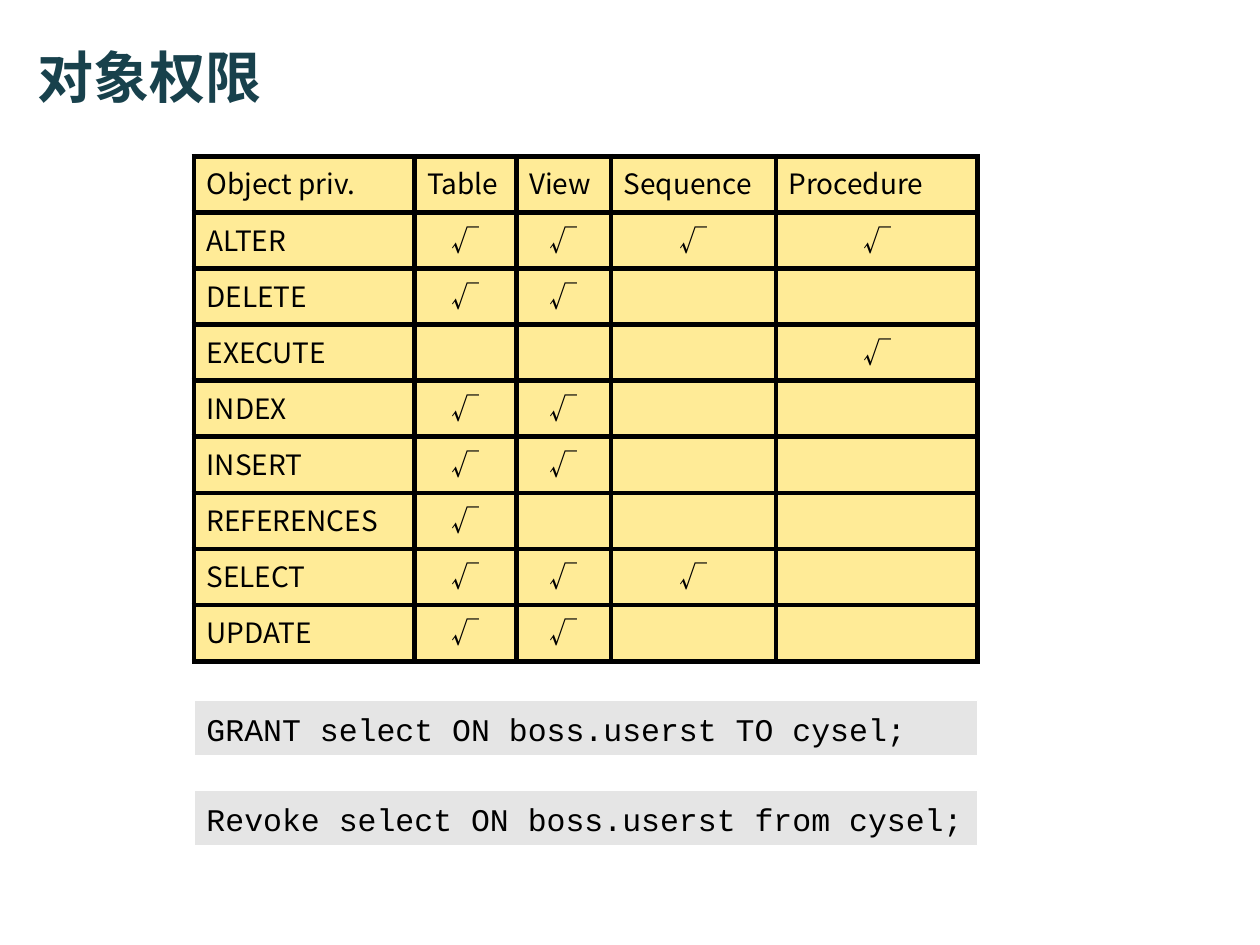
from dataclasses import dataclass

import lxml.etree
import pptx
import pptx.dml.color
import pptx.enum.shapes
import pptx.enum.text
import pptx.oxml.ns
import pptx.slide
import pptx.table
import pptx.text.text
import pptx.util

Inches = pptx.util.Inches
Align = pptx.enum.text.PP_ALIGN
Anchor = pptx.enum.text.MSO_ANCHOR
AutoSize = pptx.enum.text.MSO_AUTO_SIZE

SANS = "Noto Sans CJK SC"
MONO = "Courier New"
BLACK = "000000"
LEFT, WIDTH = 1.54, 6.22


@dataclass
class Privilege:
    name: str
    targets: tuple[str, ...]


@dataclass
class Statement:
    text: str
    top: float


TARGETS = ("Table", "View", "Sequence", "Procedure")
COLUMN_WIDTHS = (1.75, 0.81, 0.75, 1.31, 1.6)
PRIVILEGES = (
    Privilege("ALTER", TARGETS),
    Privilege("DELETE", ("Table", "View")),
    Privilege("EXECUTE", ("Procedure",)),
    Privilege("INDEX", ("Table", "View")),
    Privilege("INSERT", ("Table", "View")),
    Privilege("REFERENCES", ("Table",)),
    Privilege("SELECT", ("Table", "View", "Sequence")),
    Privilege("UPDATE", ("Table", "View")),
)
STATEMENTS = (
    Statement("GRANT select ON boss.userst TO cysel;", 5.56),
    Statement("Revoke select ON boss.userst from cysel;", 6.27),
)


def color(value: str) -> pptx.dml.color.RGBColor:
    return pptx.dml.color.RGBColor.from_string(value)


def add_element(parent, tag: str, **attributes: str):
    return lxml.etree.SubElement(parent, pptx.oxml.ns.qn(tag), attributes)


def add_run(paragraph, text: str, size: float, font: str, fill: str, bold: bool = False) -> None:
    run = paragraph.add_run()
    run.text = text
    run.font.size = pptx.util.Pt(size)
    run.font.name = font
    run.font.bold = bold
    run.font.color.rgb = color(fill)
    add_element(run.font._element, "a:ea", typeface=font)


def format_cell(cell: pptx.table._Cell) -> None:
    cell.fill.solid()
    cell.fill.fore_color.rgb = color("FFD831")
    properties = cell._tc.get_or_add_tcPr()
    add_element(properties.find(".//" + pptx.oxml.ns.qn("a:srgbClr")), "a:alpha", val="50000")
    for position, side in enumerate(("L", "R", "T", "B")):
        border = add_element(properties, f"a:ln{side}", w=str(pptx.util.Pt(3)))
        add_element(add_element(border, "a:solidFill"), "a:srgbClr", val=BLACK)
        properties.insert(position, border)


def fill_cell(cell: pptx.table._Cell, text: str, alignment: Align) -> None:
    format_cell(cell)
    if not text:
        return
    paragraph = cell.text_frame.paragraphs[0]
    paragraph.alignment = alignment
    properties = paragraph._p.get_or_add_pPr()
    properties.set("marL", str(Inches(0.38)))
    properties.set("indent", str(Inches(-0.38)))
    add_run(paragraph, text, 16, SANS, BLACK)


def add_privilege_table(slide: pptx.slide.Slide) -> None:
    rows = [("Object priv.", *TARGETS)]
    for privilege in PRIVILEGES:
        marks = ("√" if target in privilege.targets else "" for target in TARGETS)
        rows.append((privilege.name, *marks))
    frame = slide.shapes.add_table(
        len(rows), len(COLUMN_WIDTHS), Inches(LEFT), Inches(1.24), Inches(WIDTH), Inches(4.01)
    )
    table = frame.table
    table.first_row = False
    table.horz_banding = False
    for column, width in zip(table.columns, COLUMN_WIDTHS):
        column.width = Inches(width)
    for row_index, row in enumerate(rows):
        for column_index, text in enumerate(row):
            alignment = Align.CENTER if text == "√" else Align.LEFT
            fill_cell(table.cell(row_index, column_index), text, alignment)


def add_statement(slide: pptx.slide.Slide, statement: Statement) -> None:
    shape = slide.shapes.add_shape(
        pptx.enum.shapes.MSO_SHAPE.RECTANGLE,
        Inches(LEFT), Inches(statement.top), Inches(WIDTH), Inches(0.44),
    )
    shape.shadow.inherit = False
    shape.fill.solid()
    shape.fill.fore_color.rgb = color("E5E5E5")
    shape.line.color.rgb = color("FFFFFF")
    shape.line.width = pptx.util.Pt(0.75)
    text_frame = shape.text_frame
    text_frame.word_wrap = True
    text_frame.auto_size = AutoSize.SHAPE_TO_FIT_TEXT
    text_frame.vertical_anchor = Anchor.TOP
    paragraph = text_frame.paragraphs[0]
    paragraph.alignment = Align.LEFT
    paragraph.line_spacing = 1.1
    add_run(paragraph, statement.text, 18, MONO, BLACK)


def format_title(slide: pptx.slide.Slide) -> None:
    title = slide.shapes.title
    title.left, title.top = Inches(0.2), Inches(0.21)
    title.width, title.height = Inches(8.8), Inches(0.79)
    title.text_frame.auto_size = AutoSize.NONE
    title.text_frame.vertical_anchor = Anchor.MIDDLE
    paragraph = title.text_frame.paragraphs[0]
    paragraph.alignment = Align.LEFT
    add_run(paragraph, "对象权限", 32, SANS, "18414C", bold=True)


def main() -> None:
    presentation = pptx.Presentation()
    presentation.slide_width = Inches(10)
    presentation.slide_height = Inches(7.5)
    slide = presentation.slides.add_slide(presentation.slide_layouts.get_by_name("Title Only"))
    format_title(slide)
    add_privilege_table(slide)
    for statement in STATEMENTS:
        add_statement(slide, statement)
    presentation.save("out.pptx")


if __name__ == "__main__":
    main()
